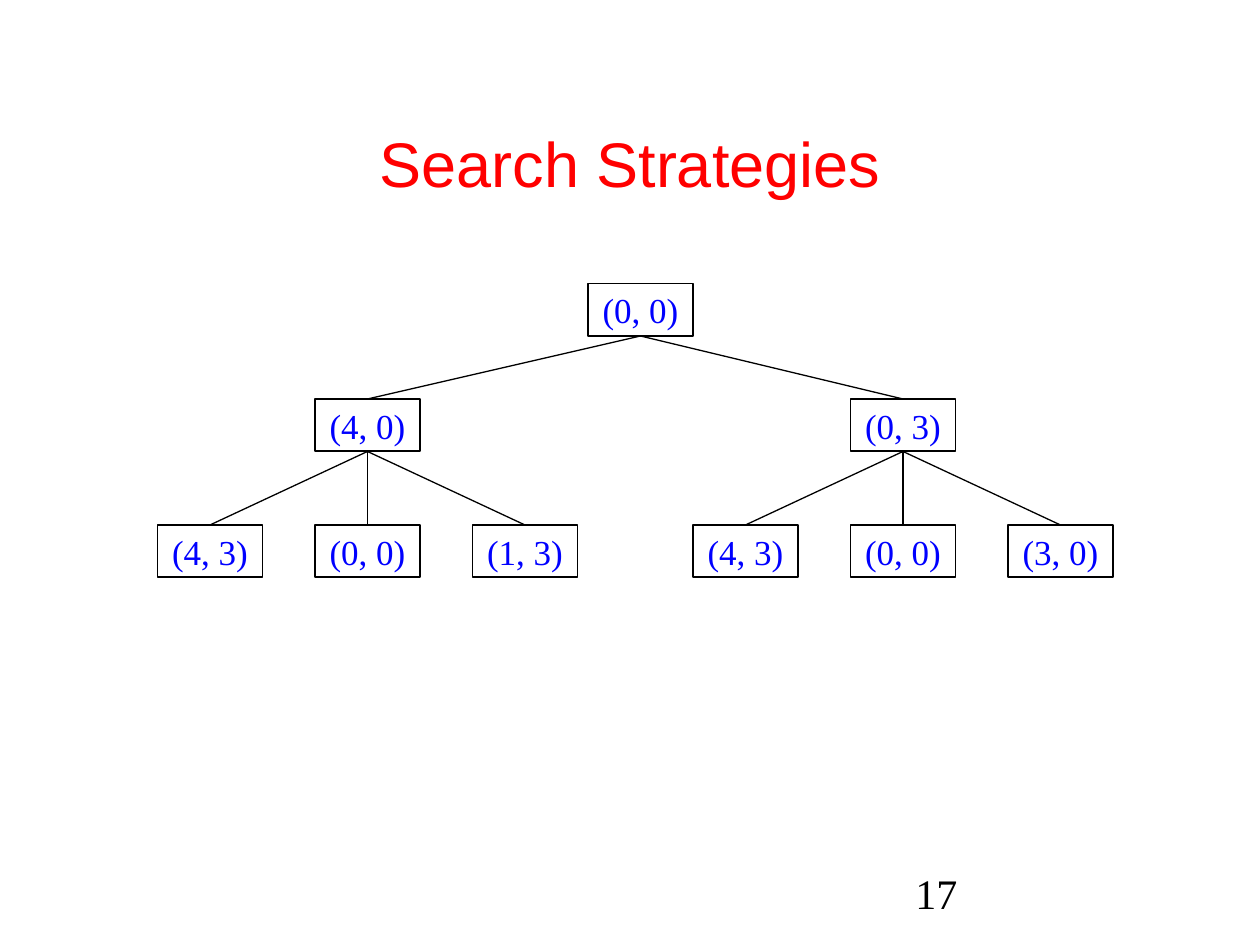
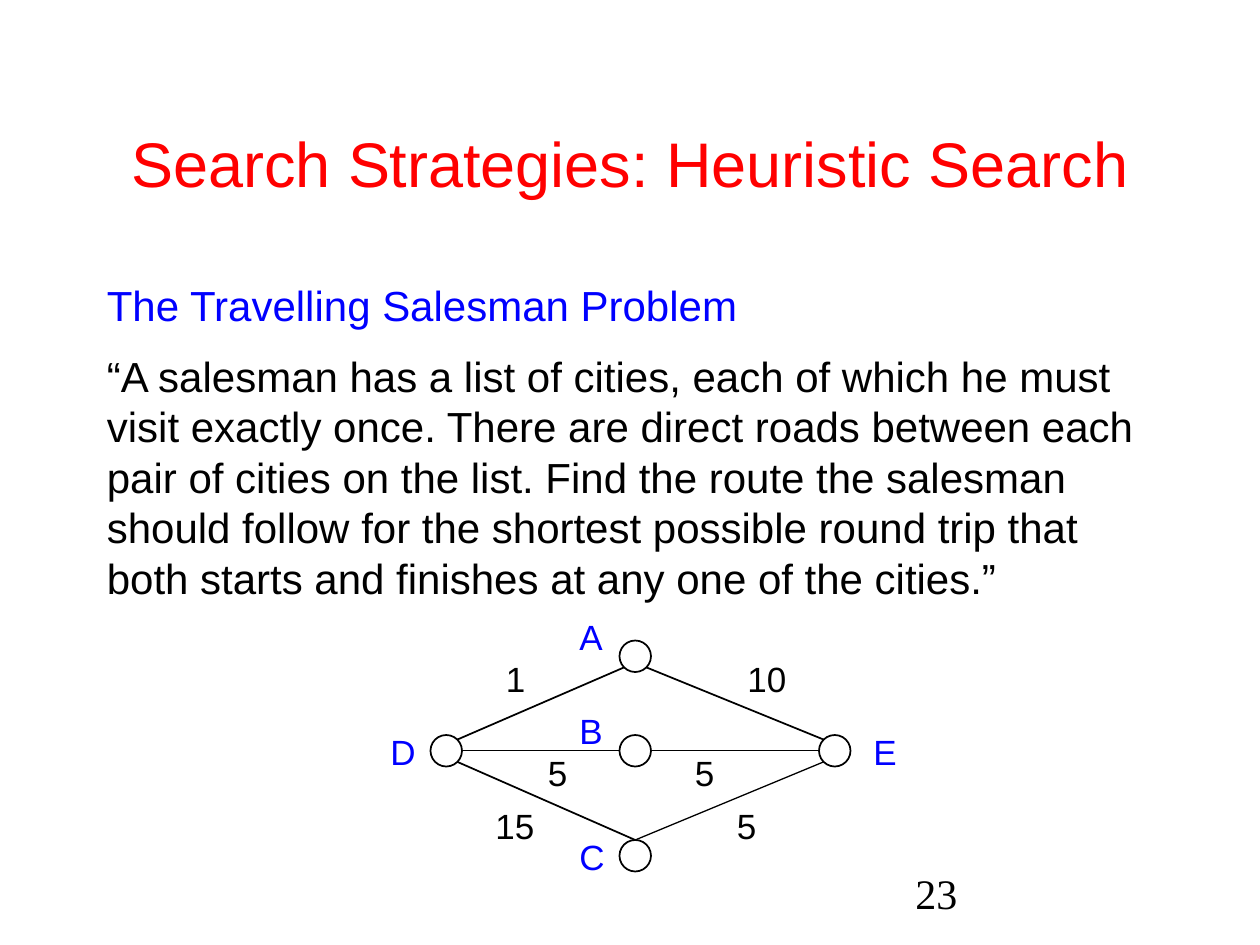
from lxml import etree
from pptx import Presentation
from pptx import util as u
from pptx.dml.color import RGBColor
from pptx.enum import shapes, text as t
from pptx.oxml import ns

COLOURS = {"title": "FF0000", "accent": "0000FF", "ink": "000000"}
SANS, SERIF = "Arial", "Times New Roman"

TITLE_BOX = (24, 48, 672, 90)
NUMBER_BOX = (516, 492, 150, 36)

# Search tree: (state, children), laid out on a column grid of leaves
TREE_TITLE, TREE_NUMBER = "Search Strategies", "17"
ROOT = ("(0, 0)", 336)
BRANCHES = [
    ("(4, 0)", 180, ["(4, 3)", "(0, 0)", "(1, 3)"]),
    ("(0, 3)", 486, ["(4, 3)", "(0, 0)", "(3, 0)"]),
]
LEVEL_TOPS = (162, 228, 300)
STATE_SIZE = (60, 30)
LEAF_STEP = 90

# Travelling salesman
ROUTE_TITLE, ROUTE_NUMBER = "Search Strategies: Heuristic Search", "23"
PROBLEM_HEADING = "The Travelling Salesman Problem"
PROBLEM_LINES = [
    "“A salesman has a list of cities, each of which he must",
    "visit exactly once. There are direct roads between each",
    "pair of cities on the list. Find the route the salesman",
    "should follow for the shortest possible round trip that",
    "both starts and finishes at any one of the cities.”",
]
PROBLEM_BOX = (54, 156, 612, 324)
RADIUS = 9
LABEL_HEIGHT = 31
# name: (circle centre, left and top of the label)
CITIES = {
    "A": ((363, 375), (324, 348)),
    "B": ((363, 429), (324, 402)),
    "C": ((363, 489), (324, 474)),
    "D": ((255, 429), (216, 414)),
    "E": ((477, 429), (492, 414)),
}
DIAGONAL = 0.71
# (city, direction out of it), (city, direction out of it), line width,
# distance, left and top of the distance
ROADS = [
    (("A", (-DIAGONAL, DIAGONAL)), ("D", (DIAGONAL, -DIAGONAL)), 1, "1", (282, 372)),
    (("D", (DIAGONAL, DIAGONAL)), ("C", (0, -1)), 1, "15", (276, 456)),
    (("A", (DIAGONAL, DIAGONAL)), ("E", (-DIAGONAL, -DIAGONAL)), 1, "10", (420, 372)),
    (("C", (0, -1)), ("E", (-DIAGONAL, DIAGONAL)), 0.75, "5", (414, 456)),
    (("D", (1, 0)), ("B", (-1, 0)), 0.75, "5", (306, 426)),
    (("B", (1, 0)), ("E", (-1, 0)), 0.75, "5", (390, 426)),
]


def colour(name):
    return RGBColor.from_string(COLOURS[name])


def points(values):
    return [u.Pt(value) for value in values]


def write(shape, lines, size=20, font=SANS, ink="ink", align=t.PP_ALIGN.LEFT,
          anchor=t.MSO_ANCHOR.TOP, space_before=0, hanging=0):
    """Add lines as paragraphs after any text the shape already has."""
    frame = shape.text_frame
    frame.word_wrap = True
    frame.vertical_anchor = anchor
    for index, line in enumerate(lines):
        paragraph = frame.add_paragraph() if frame.text else frame.paragraphs[0]
        paragraph.alignment = align
        paragraph.space_before = u.Pt(0 if index else space_before)
        if hanging:
            properties = paragraph._p.get_or_add_pPr()
            properties.set("marL", str(u.Pt(hanging)))
            properties.set("indent", str(-u.Pt(hanging)))
        run = paragraph.add_run()
        run.text = line
        run.font.size = u.Pt(size)
        run.font.name = font
        run.font.color.rgb = colour(ink)


def add_text(slide, content, box, grow=False, **style):
    shape = slide.shapes.add_textbox(*points(box))
    write(shape, [content], **style)
    shape.text_frame.auto_size = (
        t.MSO_AUTO_SIZE.SHAPE_TO_FIT_TEXT if grow else t.MSO_AUTO_SIZE.NONE)
    return shape


def add_outline(slide, kind, box):
    shape = slide.shapes.add_shape(kind, *points(box))
    shape.shadow.inherit = False
    shape.fill.background()
    shape.line.color.rgb = colour("ink")
    shape.line.width = u.Pt(1)
    return shape


def add_line(slide, start=(0, 0), end=(0, 0), width=0.75):
    line = slide.shapes.add_connector(
        shapes.MSO_CONNECTOR.STRAIGHT, *points(start), *points(end))
    line.line.color.rgb = colour("ink")
    line.line.width = u.Pt(width)
    etree.SubElement(line._element.spPr, ns.qn("a:effectLst"))
    return line


def add_slide(presentation, title, number):
    slide = presentation.slides.add_slide(presentation.slide_layouts[6])
    add_text(slide, number, NUMBER_BOX, size=24, font=SERIF)
    add_text(slide, title, TITLE_BOX, size=36, ink="title",
             align=t.PP_ALIGN.CENTER, anchor=t.MSO_ANCHOR.MIDDLE)
    return slide


def add_state(slide, state, left, level, parent=None):
    box = add_outline(slide, shapes.MSO_SHAPE.RECTANGLE,
                      (left, LEVEL_TOPS[level], *STATE_SIZE))
    write(box, [state], font=SERIF, ink="accent",
          align=t.PP_ALIGN.CENTER, anchor=t.MSO_ANCHOR.MIDDLE)
    if parent is not None:
        line = add_line(slide)
        line.begin_connect(parent, 2)
        line.end_connect(box, 0)
    return box


def build_tree(presentation):
    slide = add_slide(presentation, TREE_TITLE, TREE_NUMBER)
    root = add_state(slide, *ROOT, 0)
    for state, left, leaves in BRANCHES:
        branch = add_state(slide, state, left, 1, root)
        for index, leaf in enumerate(leaves):
            offset = (index - (len(leaves) - 1) / 2) * LEAF_STEP
            add_state(slide, leaf, left + offset, 2, branch)


def rim_point(city, direction):
    """Point on the circle of a city in the given direction."""
    return [centre + RADIUS * step for centre, step in zip(CITIES[city][0], direction)]


def build_routes(presentation):
    slide = add_slide(presentation, ROUTE_TITLE, ROUTE_NUMBER)
    body = add_text(slide, PROBLEM_HEADING, PROBLEM_BOX, size=24, ink="accent", hanging=27)
    write(body, PROBLEM_LINES, size=24, space_before=12, hanging=27)
    for name, ((x, y), label) in CITIES.items():
        add_outline(slide, shapes.MSO_SHAPE.OVAL,
                    (x - RADIUS, y - RADIUS, 2 * RADIUS, 2 * RADIUS))
        add_text(slide, name, (*label, 30, LABEL_HEIGHT), grow=True, ink="accent")
    for start, end, width, distance, label in ROADS:
        add_line(slide, rim_point(*start), rim_point(*end), width)
        label_width = 18 + 12 * len(distance)
        add_text(slide, distance, (*label, label_width, LABEL_HEIGHT), grow=True)


def main():
    presentation = Presentation()
    presentation.slide_width, presentation.slide_height = points((720, 540))
    build_tree(presentation)
    build_routes(presentation)
    presentation.save("out.pptx")


if __name__ == "__main__":
    main()
